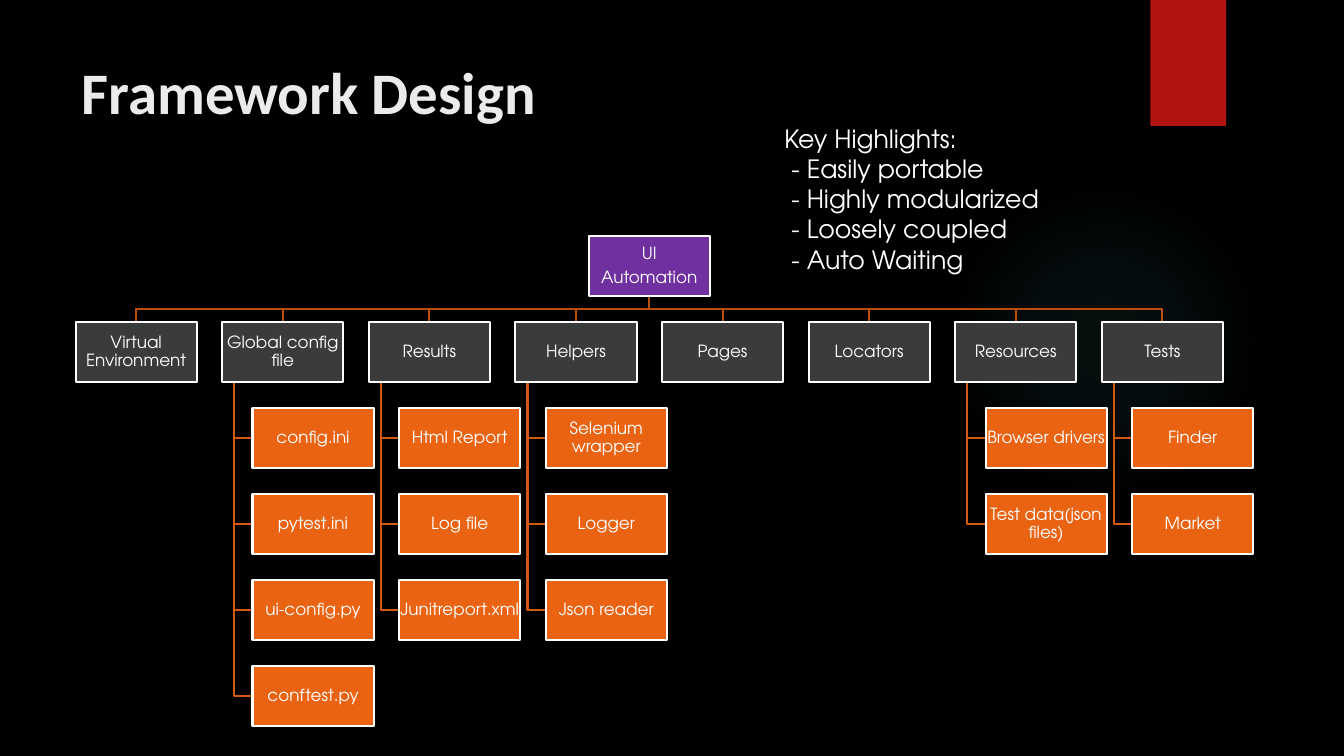
import dataclasses

import lxml.etree
import pptx
import pptx.dml.color
import pptx.enum.shapes
import pptx.enum.text
import pptx.oxml
import pptx.oxml.ns
import pptx.util

ALIGN = pptx.enum.text.PP_ALIGN
ANCHOR = pptx.enum.text.MSO_ANCHOR
SHAPE = pptx.enum.shapes.MSO_SHAPE


@dataclasses.dataclass(frozen=True)
class Theme:
    back: str = "000000"
    white: str = "FFFFFF"
    head: str = "EBEBEB"
    red: str = "B01513"
    teal: str = "50B9C1"
    root: str = "7030A0"
    branch: str = "3B3B3B"
    leaf: str = "EA6312"
    trunk: str = "BB4F0E"
    twig: str = "D45A10"
    font: str = "TeX Gyre Adventor"
    title: str = "Calibri"
    big: int = 42
    mid: int = 18
    small: int = 12
    line: float = 1.5


THEME = Theme()
WIDE = pptx.util.Inches(13.33)
HIGH = pptx.util.Inches(7.5)

# The tree: each branch with its leaves
TREE = {
    "Virtual Environment": [],
    "Global config file": ["config.ini", "pytest.ini", "ui-config.py", "conftest.py"],
    "Results": ["Html Report", "Log file", "Junitreport.xml"],
    "Helpers": ["Selenium wrapper", "Logger", "Json reader"],
    "Pages": [],
    "Locators": [],
    "Resources": ["Browser drivers", "Test data(json files)"],
    "Tests": ["Finder", "Market"],
}
POINTS = ["- Easily portable", "- Highly modularized", "- Loosely coupled", "- Auto Waiting"]


def area(left, top, wide, high):
    """Turn percent of the slide into lengths."""
    return (int(WIDE * left / 100), int(HIGH * top / 100),
            int(WIDE * wide / 100), int(HIGH * high / 100))


# Grid of the tree: gaps and indents are shares of a box's width
LEFT, TOP, SPAN, _ = area(5.63, 31.2, 85.37, 0)
GAP = 0.21
BOX = SPAN / (len(TREE) + (len(TREE) - 1) * GAP)
TALL = BOX / 2


def col(num):
    return LEFT + num * BOX * (1 + GAP)


def row(num):
    return TOP + num * (TALL + BOX * GAP)


def color(code):
    return pptx.dml.color.RGBColor.from_string(code)


def xml(text):
    space = pptx.oxml.ns.nsdecls("a")
    return pptx.oxml.parse_xml(text.replace(">", f" {space}>", 1))


def write(shape, lines, font=THEME.font, size=THEME.small, ink=THEME.white, bold=False,
          align=ALIGN.LEFT, anchor=ANCHOR.TOP, pad=None, lead=1.0, after=0):
    frame = shape.text_frame
    frame.text = "\n".join(lines)
    frame.word_wrap = True
    frame.auto_size = pptx.enum.text.MSO_AUTO_SIZE.NONE
    frame.vertical_anchor = anchor
    if pad is not None:
        frame.margin_left = frame.margin_right = pptx.util.Inches(pad)
        frame.margin_top = frame.margin_bottom = pptx.util.Inches(pad)
    for para in frame.paragraphs:
        para.alignment = align
        para.line_spacing = lead
        para.space_before = pptx.util.Pt(0)
        para.space_after = pptx.util.Pt(after)
        face = para.runs[0].font
        face.name, face.size, face.bold = font, pptx.util.Pt(size), bold
        face.color.rgb = color(ink)


def place(shape, spot):
    shape.left, shape.top, shape.width, shape.height = spot


def block(slide, kind, spot, fill, line=None):
    shape = slide.shapes.add_shape(kind, *map(int, spot))
    shape.shadow.inherit = False
    shape.fill.solid()
    shape.fill.fore_color.rgb = color(fill)
    if line:
        shape.line.color.rgb = color(line)
        shape.line.width = pptx.util.Pt(THEME.line)
    else:
        shape.line.fill.background()
    return shape


def node(slide, lines, left, top, fill):
    shape = block(slide, SHAPE.RECTANGLE, (left, top, BOX, TALL), fill, THEME.white)
    write(shape, lines, align=ALIGN.CENTER, anchor=ANCHOR.MIDDLE,
          pad=0.01, lead=0.9, after=4.2)


def link(slide, dots, ink):
    dots = [(int(x), int(y)) for x, y in dots]
    pen = slide.shapes.build_freeform(*dots[0], scale=1.0)
    pen.add_line_segments(dots[1:], close=False)
    shape = pen.convert_to_shape()
    shape.shadow.inherit = False
    shape.fill.background()
    shape.line.color.rgb = color(ink)
    shape.line.width = pptx.util.Pt(THEME.line)


def decor(slide):
    # Red ribbon with a soft shadow
    flag = block(slide, SHAPE.RECTANGLE, area(85.6, 0, 5.63, 16.67), THEME.red)
    flag.element.spPr.find(pptx.oxml.ns.qn("a:effectLst")).append(xml(
        '<a:outerShdw blurRad="38100" dist="25400" dir="5400000" rotWithShape="0">'
        '<a:srgbClr val="000000"><a:alpha val="45000"/></a:srgbClr></a:outerShdw>'))
    # Faint round glow
    glow = block(slide, SHAPE.OVAL, area(70.59, 24.4, 23.11, 41.07), THEME.teal)
    stops = "".join(
        f'<a:gs pos="{pos}000"><a:srgbClr val="{THEME.teal}">'
        f'<a:alpha val="{alpha}000"/></a:srgbClr></a:gs>'
        for pos, alpha in ((0, 7), (36, 6), (69, 0)))
    fill = glow.element.spPr.find(pptx.oxml.ns.qn("a:solidFill"))
    fill.getparent().replace(fill, xml(
        f'<a:gradFill><a:gsLst>{stops}</a:gsLst><a:path path="circle">'
        '<a:fillToRect l="50000" t="50000" r="50000" b="50000"/></a:path></a:gradFill>'))
    # Both go behind the text
    for shape in (flag, glow):
        shape.element.getparent().insert(2, shape.element)


def tree(slide):
    mid = LEFT + SPAN / 2
    base = TOP + TALL
    bend = (base + row(1)) / 2
    # Lines first, so that the boxes cover their ends
    for num, leaves in enumerate(TREE.values()):
        stem, foot = col(num) + BOX * 0.1, row(1) + TALL
        for step in range(len(leaves)):
            level = row(step + 2) + TALL / 2
            link(slide, [(stem, foot), (stem, level), (col(num) + BOX / 4, level)], THEME.twig)
        head = col(num) + BOX / 2
        link(slide, [(mid, base), (mid, bend), (head, bend), (head, row(1))], THEME.trunk)
    # Boxes
    node(slide, ["UI", "Automation"], mid - BOX / 2, TOP, THEME.root)
    for num, (name, leaves) in enumerate(TREE.items()):
        node(slide, [name], col(num), row(1), THEME.branch)
        for step, leaf in enumerate(leaves):
            node(slide, [leaf], col(num) + BOX / 4, row(step + 2), THEME.leaf)


def points(slide):
    body = slide.placeholders[1]
    place(body, area(57.61, 15.6, 31.66, 21.6))
    write(body, ["Key Highlights:"] + POINTS, size=THEME.mid)
    for num, para in enumerate(body.text_frame.paragraphs):
        props = para._p.get_or_add_pPr()
        props.set("marL", str(pptx.util.Inches(0.07 if num else 0)))
        props.set("indent", "0")
        props.append(xml("<a:buNone></a:buNone>"))


def main():
    deck = pptx.Presentation()
    deck.slide_width, deck.slide_height = WIDE, HIGH
    slide = deck.slides.add_slide(deck.slide_layouts[1])
    slide.background.fill.solid()
    slide.background.fill.fore_color.rgb = color(THEME.back)
    decor(slide)
    place(slide.shapes.title, area(5.33, 6.67, 47.19, 20.4))
    write(slide.shapes.title, ["Framework Design"], font=THEME.title,
          size=THEME.big, ink=THEME.head, bold=True)
    points(slide)
    tree(slide)
    deck.save("out.pptx")


if __name__ == "__main__":
    main()
